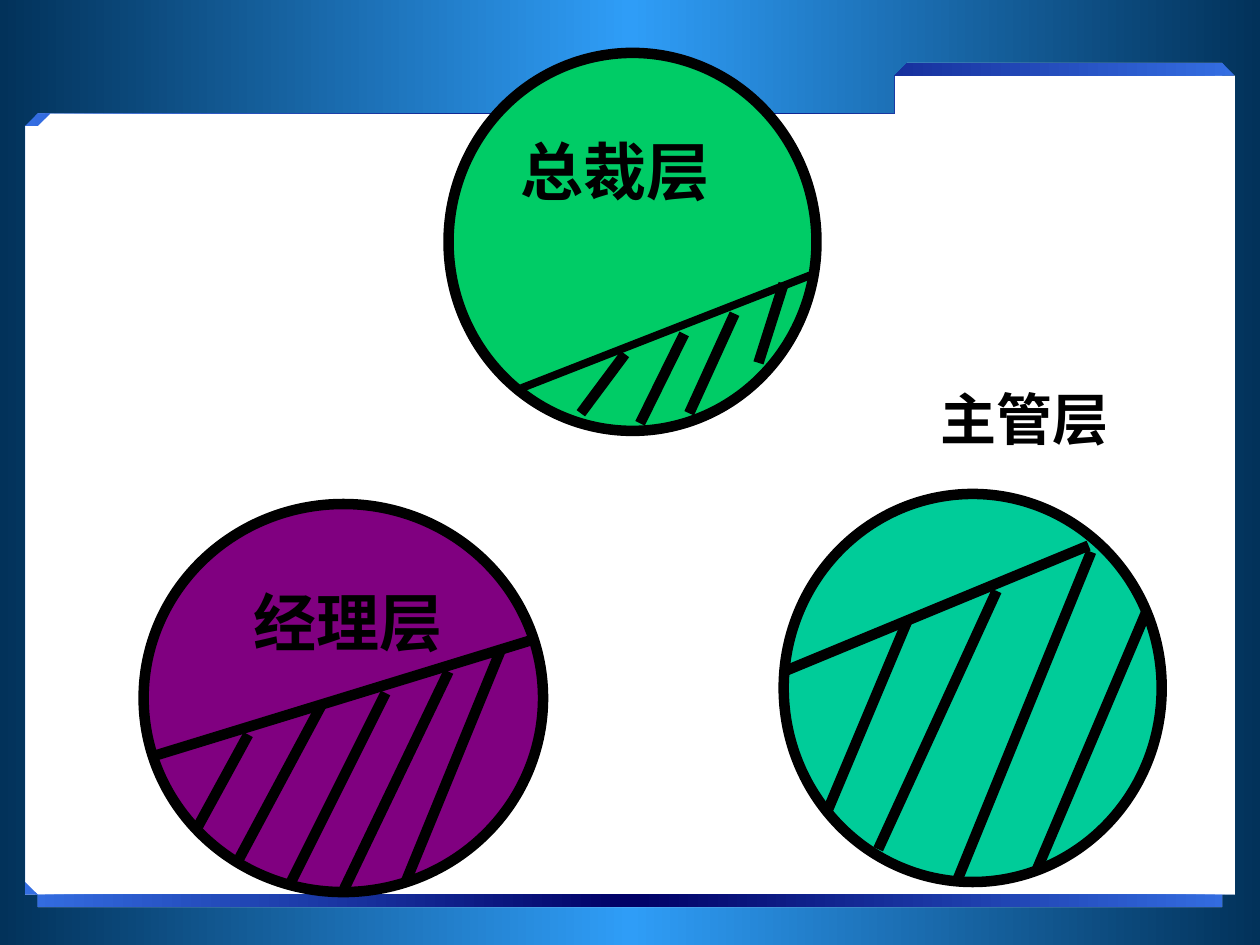
from copy import deepcopy
from math import cos, radians, sin

from lxml import etree
from pptx import Presentation
from pptx import util as u
from pptx.dml.color import RGBColor
from pptx.enum import shapes, text
from pptx.oxml.ns import qn

NAVY = RGBColor(0x02, 0x32, 0x5A)
SKY = RGBColor(0x2F, 0x9D, 0xF7)
RIM = RGBColor(0x34, 0x6E, 0xE2)
RIM_DARK = RGBColor(0x00, 0x00, 0x66)
WHITE = RGBColor(0xFF, 0xFF, 0xFF)
BLACK = RGBColor(0x00, 0x00, 0x00)
GREEN = RGBColor(0x00, 0xCC, 0x66)
PURPLE = RGBColor(0x80, 0x00, 0x80)
TEAL = RGBColor(0x00, 0xCC, 0x99)

deck = Presentation()
deck.slide_width, deck.slide_height = u.Inches(10), u.Inches(7.5)
page = deck.slides.add_slide(deck.slide_layouts[6])

# The grid has 100 columns and 75 rows of square cells
CELL = deck.slide_width // 100


def blend(shape, edge, middle):
    """Fill a shape from edge to middle and back, left to right."""
    shape.fill.gradient()
    shape.fill.gradient_angle = 0
    stops = shape._element.spPr.find(qn("a:gradFill")).find(qn("a:gsLst"))
    stops.insert(1, deepcopy(stops[0]))
    colours = (edge, middle, edge)
    for stop, place, colour in zip(shape.fill.gradient_stops, (0, 0.5, 1), colours):
        stop.position = place
        stop.color.rgb = colour


def folder_outline(left, top, right, bottom, tab, shelf, radius):
    """Points of a folder with rounded corners and a tab at top right."""
    tall = radius + 0.7
    corners = [
        (tab + radius, top + tall, tall, 180),
        (right - radius, top + tall, tall, 270),
        (right - radius, bottom - radius, radius, 0),
        (left + radius, bottom - radius, radius, 90),
        (left + radius, shelf + radius, radius, 180),
    ]
    points = []
    for x, y, height, start in corners:
        for angle in range(start, start + 91, 10):
            turn = radians(angle)
            points.append((x + radius * cos(turn), y + height * sin(turn)))
    return points + [(tab, shelf)]


# Backdrop
backdrop = page.shapes.add_shape(
    shapes.MSO_SHAPE.RECTANGLE, 0, 0, deck.slide_width, deck.slide_height)
backdrop.shadow.inherit = False
backdrop.line.fill.background()
blend(backdrop, NAVY, SKY)

# Folder: white sheet, then a rim made of an outer and an inner outline
sheet = [folder_outline(2.2, 5.3, 98.1, 71.7, 70.9, 9.2, 1.8)]
rim = [folder_outline(1.8, 5, 98.4, 71.7, 70.6, 8.9, 2.1),
       folder_outline(2.2, 5.5, 97.9, 71.2, 71.1, 9.4, 1.7)]
for outlines in (sheet, rim):
    builder = page.shapes.build_freeform(*outlines[0][0], scale=CELL)
    builder.add_line_segments(outlines[0][1:])
    for hole in outlines[1:]:
        builder.move_to(*hole[0])
        builder.add_line_segments(hole[1:])
    folder = builder.convert_to_shape()
    folder.shadow.inherit = False
    folder.line.fill.background()
    if outlines is sheet:
        folder.fill.solid()
        folder.fill.fore_color.rgb = WHITE
    else:
        blend(folder, RIM, RIM_DARK)

# Circles: left, top, width, height in cells
circles = [
    (GREEN, 35.6, 4.2, 29.2, 30),
    (PURPLE, 11.4, 40, 31.7, 30.8),
    (TEAL, 62.2, 39.2, 30, 30.8),
]
for colour, *place in circles:
    circle = page.shapes.add_shape(
        shapes.MSO_SHAPE.OVAL, *(round(n * CELL) for n in place))
    circle.shadow.inherit = False
    circle.fill.solid()
    circle.fill.fore_color.rgb = colour
    circle.line.color.rgb = BLACK
    circle.line.width = u.Pt(6)

# Level names
labels = [
    ("总裁层", 36, 39.7, 10, 18.3, 7),
    ("经理层", 36, 17.2, 45.8, 20.8, 7),
    ("主管层", 32, 71.3, 30, 20, 6.4),
]
frame_format = {"word_wrap": True, "auto_size": text.MSO_AUTO_SIZE.SHAPE_TO_FIT_TEXT}
for name, size, *place in labels:
    box = page.shapes.add_textbox(*(round(n * CELL) for n in place))
    para = box.text_frame.paragraphs[0]
    span = para.add_run()
    span.text = name
    span.font.color.rgb = BLACK
    para_format = {"alignment": text.PP_ALIGN.CENTER, "space_before": u.Pt(size * 0.625)}
    font_format = {"name": "Times New Roman", "size": u.Pt(size), "bold": True}
    for target, values in ((box.text_frame, frame_format), (para, para_format),
                           (span.font, font_format)):
        for key, value in values.items():
            setattr(target, key, value)

# Chord of each circle, then its hatching: x and y of both ends in cells
chords = [
    (41.4, 30.8, 64.7, 21.7, 4.5),
    (12.2, 60, 42.2, 50.8, 6),
    (62.2, 53.3, 86.4, 43.3, 6),
]
hatching = [
    # Purple circle
    (19.7, 58.3, 15.6, 65.8), (25.6, 55.8, 18.9, 68.3), (30.6, 55, 23.1, 70),
    (35.6, 53.3, 27.2, 70.8), (39.7, 51.7, 32.2, 70),
    # Green circle
    (62.2, 22.5, 60.2, 28.8), (58.3, 24.9, 54.7, 32.8),
    (54.3, 26.5, 50.8, 33.6), (49.6, 28.1, 46.1, 32.8),
    # Teal circle
    (86.6, 43.8, 76, 69.8), (79.1, 46.9, 69.7, 67.4),
    (72, 49.3, 65.7, 64.3), (91, 48.5, 82.3, 69),
]
for *ends, weight in chords + [(*stroke, 6) for stroke in hatching]:
    line = page.shapes.add_connector(
        shapes.MSO_CONNECTOR.STRAIGHT, *(round(n * CELL) for n in ends))
    line.line.color.rgb = BLACK
    line.line.width = u.Pt(weight)
    etree.SubElement(line._element.spPr, qn("a:effectLst"))

deck.save("out.pptx")
